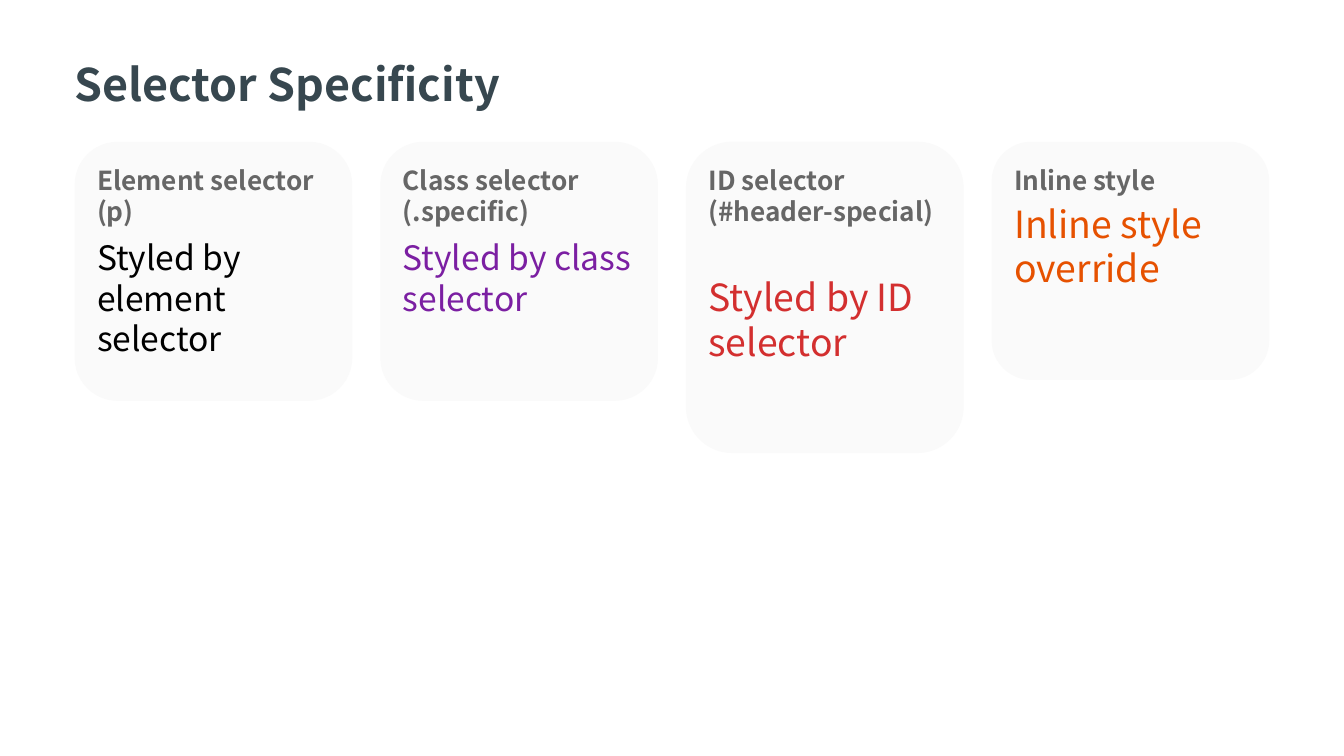
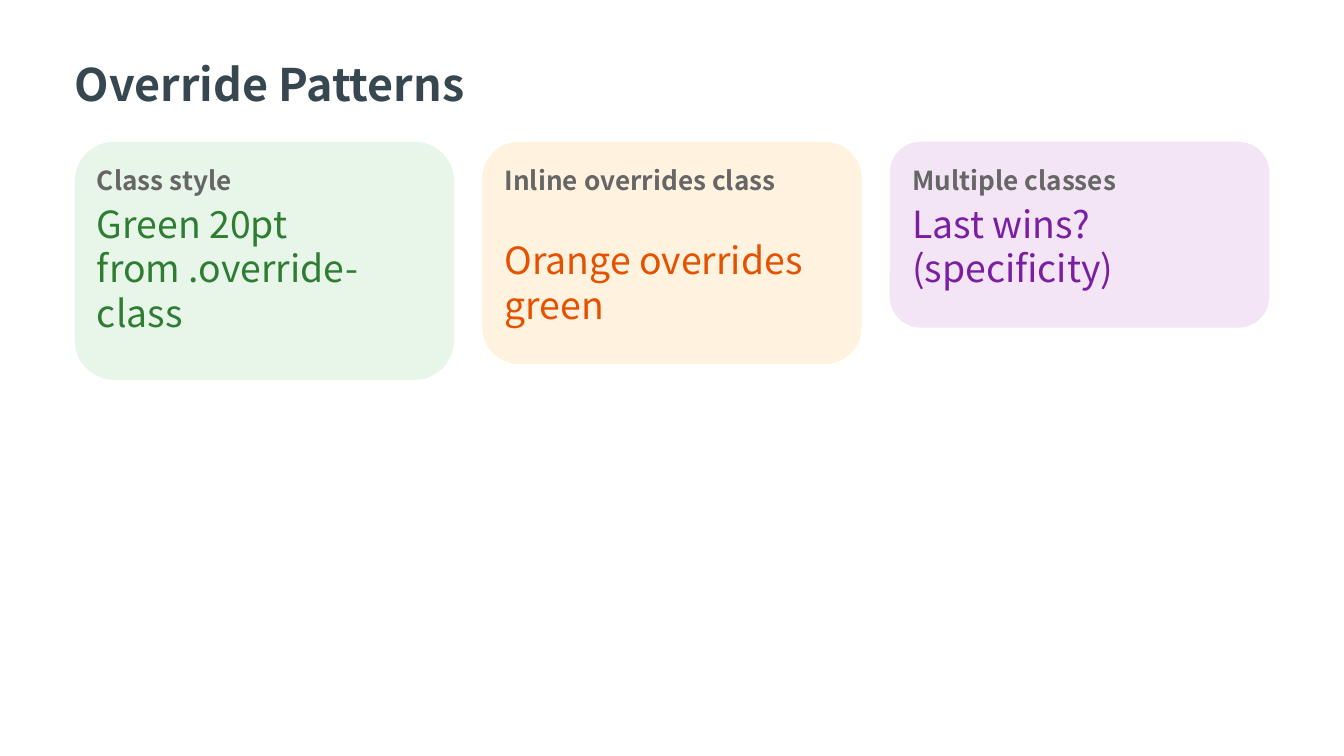
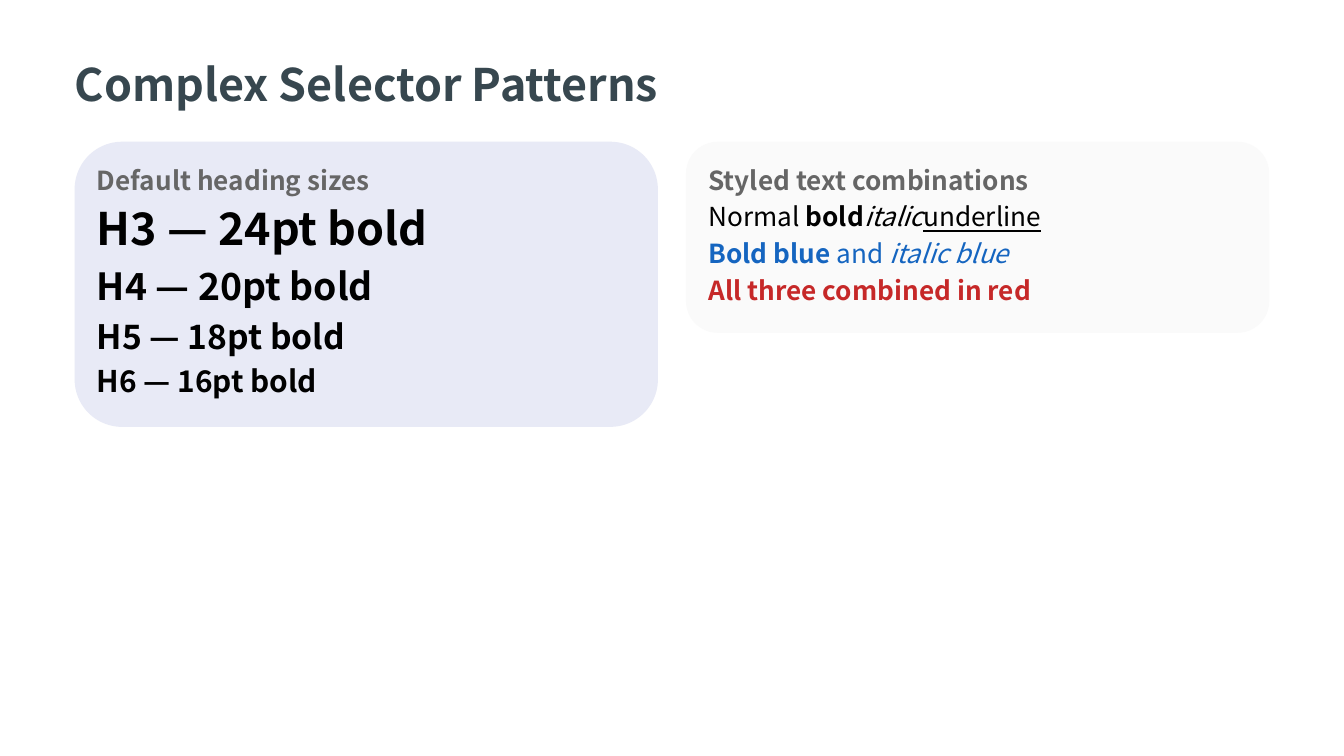
from pptx import Presentation
from pptx import util as u
from pptx.dml.color import RGBColor
from pptx.enum import shapes

FONT = "Noto Sans CJK SC"
SLATE = RGBColor(0x37, 0x47, 0x4F)
GRAY = RGBColor(0x66, 0x66, 0x66)
BLACK = RGBColor(0x00, 0x00, 0x00)
PURPLE = RGBColor(0x7B, 0x1F, 0xA2)
RED = RGBColor(0xD3, 0x2F, 0x2F)
CRIMSON = RGBColor(0xC6, 0x28, 0x28)
ORANGE = RGBColor(0xE6, 0x51, 0x00)
GREEN = RGBColor(0x2E, 0x7D, 0x32)
BLUE = RGBColor(0x15, 0x65, 0xC0)
PALE = RGBColor(0xFA, 0xFA, 0xFA)
MINT = RGBColor(0xE8, 0xF5, 0xE9)
CREAM = RGBColor(0xFF, 0xF3, 0xE0)
LILAC = RGBColor(0xF3, 0xE5, 0xF5)
INDIGO = RGBColor(0xE8, 0xEA, 0xF6)

deck = Presentation()
deck.slide_width = W = u.Inches(10)
deck.slide_height = H = u.Inches(5.625)
LEFT = W // 18
SPAN = W - 2 * LEFT
GAP = W // 48
PAD = W // 60
TOP = H * 3 // 16


def write(home, x, y, wide, lines, size, color, bold, runs):
    tall = u.Pt(1.4 * size * lines)
    frame = home.add_textbox(x, y, wide, tall).text_frame
    frame.word_wrap = True
    frame.margin_left = frame.margin_right = 0
    frame.margin_top = frame.margin_bottom = 0
    para = frame.paragraphs[0]
    font = para.font
    font.name, font.size, font.bold = FONT, u.Pt(size), bold
    font.color.rgb = color
    for words, *marks in runs:
        run = para.add_run()
        run.text = words
        for mark in marks:
            setattr(run.font, mark, True)
    return y + tall


# Each card: fill, label, label lines, rows of (lines, size, color, bold, runs)
PAGES = [
    ("Selector Specificity", [
        (PALE, "Element selector (p)", 2,
         [(3, 18, BLACK, False, [("Styled by element selector",)])]),
        (PALE, "Class selector (.specific)", 2,
         [(3, 18, PURPLE, False, [("Styled by class selector",)])]),
        (PALE, "ID selector (#header-special)", 3,
         [(3, 20, RED, False, [("Styled by ID selector",)])]),
        (PALE, "Inline style", 1,
         [(3, 20, ORANGE, False, [("Inline style override",)])]),
    ]),
    ("Override Patterns", [
        (MINT, "Class style", 1,
         [(3, 20, GREEN, False, [("Green 20pt from .override-class",)])]),
        (CREAM, "Inline overrides class", 2,
         [(2, 20, ORANGE, False, [("Orange overrides green",)])]),
        (LILAC, "Multiple classes", 1,
         [(2, 20, PURPLE, False, [("Last wins? (specificity)",)])]),
    ]),
    ("Complex Selector Patterns", [
        (INDIGO, "Default heading sizes", 1,
         [(1, size, BLACK, True, [(f"H{rank} — {size}pt bold",)])
          for rank, size in enumerate((24, 20, 18, 16), 3)]),
        (PALE, "Styled text combinations", 1, [
            (1, 14, BLACK, False, [("Normal ",), ("bold", "bold"),
                                   ("italic", "italic"),
                                   ("underline", "underline")]),
            (1, 14, BLUE, False, [("Bold blue", "bold"), (" and ",),
                                  ("italic blue", "italic")]),
            (1, 14, CRIMSON, True, [("All three combined in red",)]),
        ]),
    ]),
]

for title, cards in PAGES:
    slide = deck.slides.add_slide(deck.slide_layouts[6])
    write(slide.shapes, LEFT, H * 3 // 40, SPAN, 1, 24, SLATE, True, [(title,)])
    wide = (SPAN - GAP * (len(cards) - 1)) // len(cards)
    for col, (fill, label, lines, rows) in enumerate(cards):
        x = LEFT + col * (wide + GAP)
        group = slide.shapes.add_group_shape().shapes
        card = group.add_shape(shapes.MSO_SHAPE.ROUNDED_RECTANGLE, x, TOP, wide, PAD)
        card.shadow.inherit = False
        card.fill.solid()
        card.fill.fore_color.rgb = fill
        card.line.fill.background()
        y = TOP + PAD
        for row in [(lines, 14, GRAY, True, [(label,)])] + rows:
            y = write(group, x + PAD, y, wide - 2 * PAD, *row)
        card.height = y + PAD - TOP

deck.save("out.pptx")
